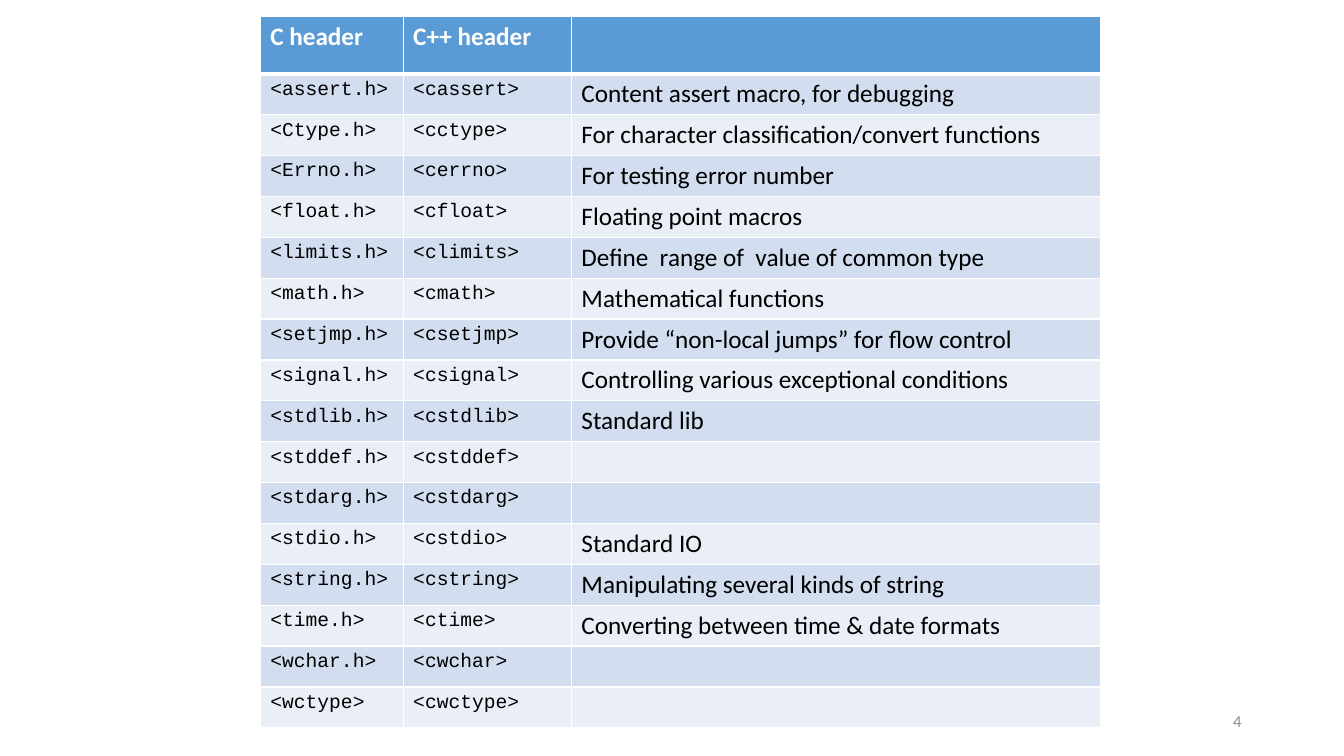
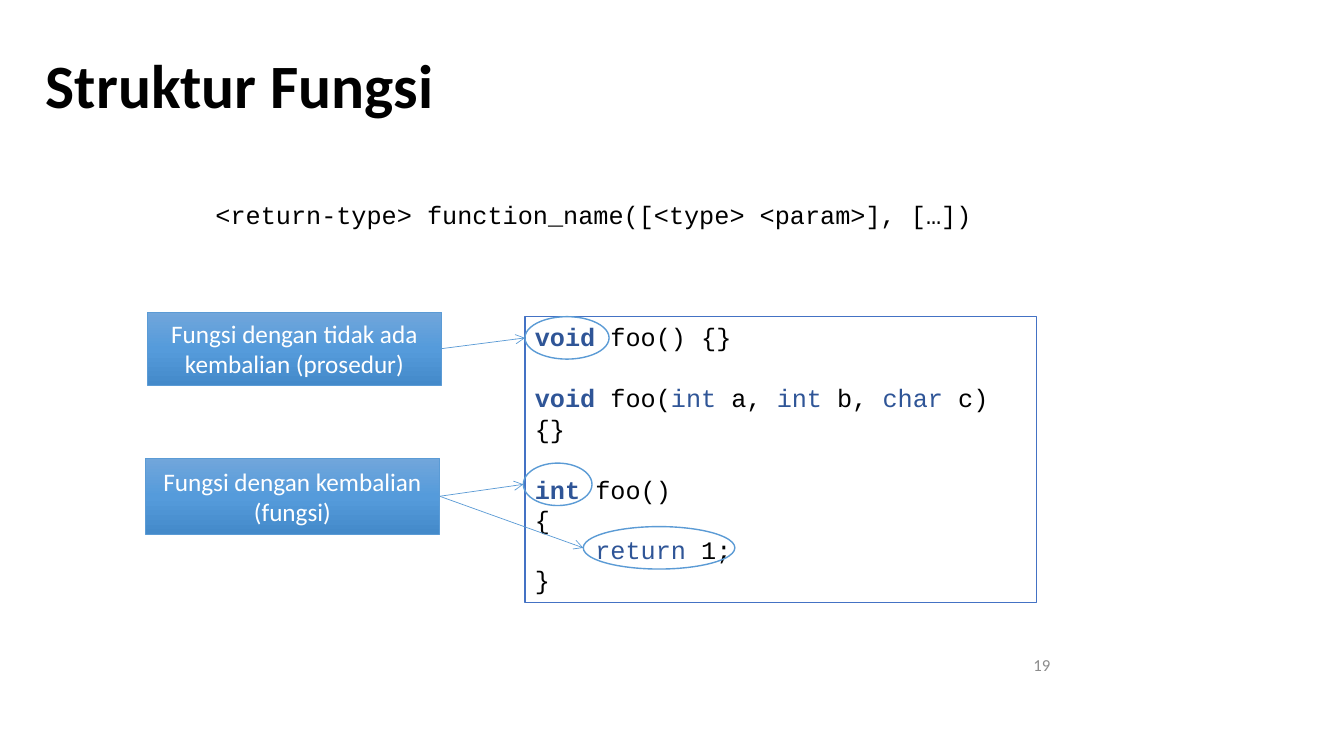
from copy import deepcopy

from lxml.etree import SubElement
from pptx import Presentation
from pptx.dml.color import RGBColor
from pptx.enum.shapes import MSO_CONNECTOR, MSO_SHAPE
from pptx.enum.text import MSO_ANCHOR, PP_ALIGN
from pptx.oxml.ns import qn
from pptx.util import Cm, Pt

WHITE = RGBColor(0xFF, 0xFF, 0xFF)
BLACK = RGBColor(0x00, 0x00, 0x00)
GRAY = RGBColor(0x8C, 0x8C, 0x8C)
BLUE = RGBColor(0x5B, 0x9B, 0xD5)
FRAME = RGBColor(0x44, 0x72, 0xC4)
KEYWORD = RGBColor(0x2F, 0x55, 0x97)
BANDS = RGBColor(0xD2, 0xDE, 0xEF), RGBColor(0xEA, 0xEF, 0xF7)
GRADIENT = (
    (0, RGBColor(0x71, 0xA6, 0xDB)),
    (0.5, RGBColor(0x55, 0x9B, 0xDB)),
    (1, RGBColor(0x44, 0x8A, 0xCA)),
)
SANS, MONO = "Calibri", "Courier New"
TITLE_ONLY, BLANK = 5, 6

HEADERS = [
    ("<assert.h>", "<cassert>", "Content assert macro, for debugging"),
    ("<Ctype.h>", "<cctype>", "For character classification/convert functions"),
    ("<Errno.h>", "<cerrno>", "For testing error number"),
    ("<float.h>", "<cfloat>", "Floating point macros"),
    ("<limits.h>", "<climits>", "Define  range of  value of common type"),
    ("<math.h>", "<cmath>", "Mathematical functions"),
    ("<setjmp.h>", "<csetjmp>", "Provide “non-local jumps” for flow control"),
    ("<signal.h>", "<csignal>", "Controlling various exceptional conditions"),
    ("<stdlib.h>", "<cstdlib>", "Standard lib"),
    ("<stddef.h>", "<cstddef>", ""),
    ("<stdarg.h>", "<cstdarg>", ""),
    ("<stdio.h>", "<cstdio>", "Standard IO"),
    ("<string.h>", "<cstring>", "Manipulating several kinds of string"),
    ("<time.h>", "<ctime>", "Converting between time & date formats"),
    ("<wchar.h>", "<cwchar>", ""),
    ("<wctype>", "<cwctype>", ""),
]

PLAIN, KEY, BOLD = (BLACK, False), (KEYWORD, False), (KEYWORD, True)
CODE = [
    (0, [("void", BOLD), (" foo() {}", PLAIN)]),
    (22, [("void", BOLD), (" foo(", PLAIN), ("int", KEY), (" a, ", PLAIN),
          ("int", KEY), (" b, ", PLAIN), ("char", KEY), (" c) {}", PLAIN)]),
    (22, [("int ", BOLD), ("foo()", PLAIN)]),
    (0, [("{", PLAIN)]),
    (0, [("    ", PLAIN), ("return", KEY), (" 1;", PLAIN)]),
    (0, [("}", PLAIN)]),
]


class Deck:
    """Holds the shared style and the current slide."""

    def __init__(self):
        """Start a widescreen presentation."""
        self.prs = Presentation()
        self.prs.slide_width, self.prs.slide_height = Cm(33.87), Cm(19.05)

    def slide(self, layout):
        """Add a slide and make it current."""
        self.s = self.prs.slides.add_slide(self.prs.slide_layouts[layout])

    def style(self, r, size=18, name=SANS, color=BLACK, bold=False):
        """Format one run."""
        r.font.size, r.font.name, r.font.bold = Pt(size), name, bold
        r.font.color.rgb = color

    def put(self, tf, text, align=PP_ALIGN.LEFT, **font):
        """Fill a text frame with one styled paragraph."""
        tf.text = text
        tf.word_wrap = True
        p = tf.paragraphs[0]
        p.alignment = align
        for r in p.runs:
            self.style(r, **font)

    def title(self, text):
        """Place the slide title."""
        sp = self.s.shapes.title
        sp.left, sp.top, sp.width, sp.height = Cm(0.9), Cm(0.38), Cm(27.9), Cm(3.68)
        tf = sp.text_frame
        self.put(tf, text, size=44, bold=True)
        tf.vertical_anchor = MSO_ANCHOR.MIDDLE
        tf.paragraphs[0].line_spacing = 0.9

    def text(self, x, y, w, h, text, **font):
        """Add a text box."""
        sp = self.s.shapes.add_textbox(Cm(x), Cm(y), Cm(w), Cm(h))
        self.put(sp.text_frame, text, **font)
        return sp

    def number(self, x, y, w, text):
        """Add the slide number."""
        sp = self.text(x, y, w, 1.01, text, align=PP_ALIGN.RIGHT, size=12, color=GRAY)
        sp.text_frame.vertical_anchor = MSO_ANCHOR.MIDDLE

    def outline(self, kind, x, y, w, h, color=BLUE, width=1):
        """Add an unfilled shape."""
        sp = self.s.shapes.add_shape(kind, Cm(x), Cm(y), Cm(w), Cm(h))
        sp.shadow.inherit = False
        sp.fill.background()
        sp.line.color.rgb, sp.line.width = color, Pt(width)
        return sp

    def oval(self, x, y, w):
        """Circle a piece of code."""
        return self.outline(MSO_SHAPE.OVAL, x, y, w, 1.07)

    def label(self, x, y, h, text):
        """Add a gradient label."""
        sp = self.outline(MSO_SHAPE.RECTANGLE, x, y, 7.42, h, width=0.5)
        sp.fill.gradient()
        sp.fill.gradient_angle = 270
        stops = sp._element.spPr.find(qn("a:gradFill")).find(qn("a:gsLst"))
        stops.append(deepcopy(stops[0]))
        for stop, (position, color) in zip(sp.fill.gradient_stops, GRADIENT):
            stop.position, stop.color.rgb = position, color
        self.put(sp.text_frame, text, align=PP_ALIGN.CENTER, color=WHITE)
        sp.text_frame.vertical_anchor = MSO_ANCHOR.MIDDLE
        return sp

    def arrow(self, label, oval):
        """Point from the right of a label to the left of an oval."""
        c = self.s.shapes.add_connector(
            MSO_CONNECTOR.STRAIGHT, label.left + label.width, label.top + label.height // 2,
            oval.left, oval.top + oval.height // 2)
        c.begin_connect(label, 3)
        c.line.color.rgb, c.line.width = BLUE, Pt(0.5)
        SubElement(c._element.spPr.find(qn("a:ln")), qn("a:tailEnd"), type="arrow")
        SubElement(c._element.spPr, qn("a:effectLst"))

    def code(self, x, y, w, h, lines):
        """Add a framed code listing."""
        sp = self.outline(MSO_SHAPE.RECTANGLE, x, y, w, h, color=FRAME)
        tf = sp.text_frame
        tf.word_wrap, tf.vertical_anchor = True, MSO_ANCHOR.TOP
        for i, (gap, tokens) in enumerate(lines):
            p = tf.add_paragraph() if i else tf.paragraphs[0]
            p.alignment = PP_ALIGN.LEFT
            if gap:
                p.space_before = Pt(gap)
            for text, (color, bold) in tokens:
                r = p.add_run()
                r.text = text
                self.style(r, name=MONO, color=color, bold=bold)

    def cell(self, cell, text, fill, bottom=1, **font):
        """Fill a table cell with white borders."""
        self.put(cell.text_frame, text, **font)
        tc_pr = cell._tc.get_or_add_tcPr()
        for side, width in (("L", 1), ("R", 1), ("T", 1), ("B", bottom)):
            ln = SubElement(tc_pr, qn(f"a:ln{side}"), w=str(int(Pt(width))))
            SubElement(SubElement(ln, qn("a:solidFill")), qn("a:srgbClr"), val=str(WHITE))
        cell.fill.solid()
        cell.fill.fore_color.rgb = fill

    def table(self, x, y, widths, head, rows, head_height=1.44, row_height=1.03):
        """Add a banded table."""
        height = head_height + row_height * len(rows)
        table = self.s.shapes.add_table(
            len(rows) + 1, len(widths), Cm(x), Cm(y), Cm(sum(widths)), Cm(height)).table
        for column, width in zip(table.columns, widths):
            column.width = Cm(width)
        for i, row in enumerate(table.rows):
            row.height = Cm(row_height if i else head_height)
        for j, text in enumerate(head):
            self.cell(table.cell(0, j), text, BLUE, bottom=3, color=WHITE, bold=True)
        for i, row in enumerate(rows):
            for j, text in enumerate(row):
                font = dict(size=14, name=MONO) if j < 2 else {}
                self.cell(table.cell(i + 1, j), text, BANDS[i % 2], **font)


def main():
    """Build and save the slides."""
    d = Deck()

    d.slide(BLANK)
    d.table(6.56, 0.42, (3.6, 4.24, 13.33), ("C header", "C++ header", ""), HEADERS)
    d.number(23.92, 17.66, 7.62, "4")

    d.slide(TITLE_ONLY)
    d.title("Struktur Fungsi")
    d.text(5.18, 4.9, 20.96, 1.03, "<return-type> function_name([<type> <param>], […])", name=MONO)
    d.code(13.23, 7.98, 12.9, 7.2, CODE)
    void = d.oval(13.23, 7.98, 2.12)
    procedure = d.label(3.71, 7.86, 1.85, "Fungsi dengan tidak ada kembalian (prosedur)")
    d.arrow(procedure, void)
    result = d.oval(13.19, 11.67, 1.73)
    function = d.label(3.66, 11.55, 1.91, "Fungsi dengan kembalian (fungsi)")
    d.arrow(function, result)
    d.arrow(function, d.oval(14.7, 13.27, 3.82))
    d.number(20.8, 16.26, 5.92, "19")

    d.prs.save("out.pptx")


if __name__ == "__main__":
    main()
